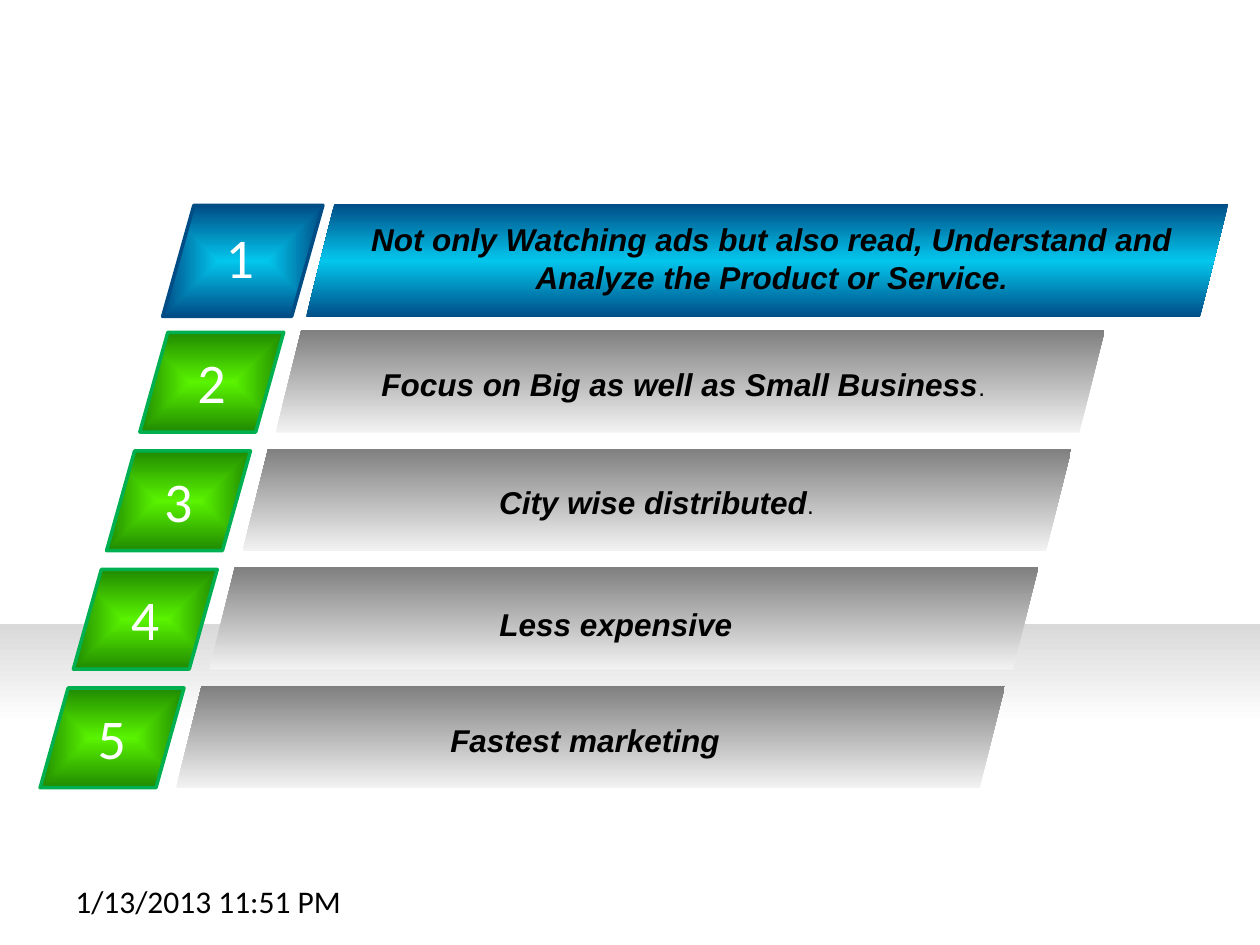
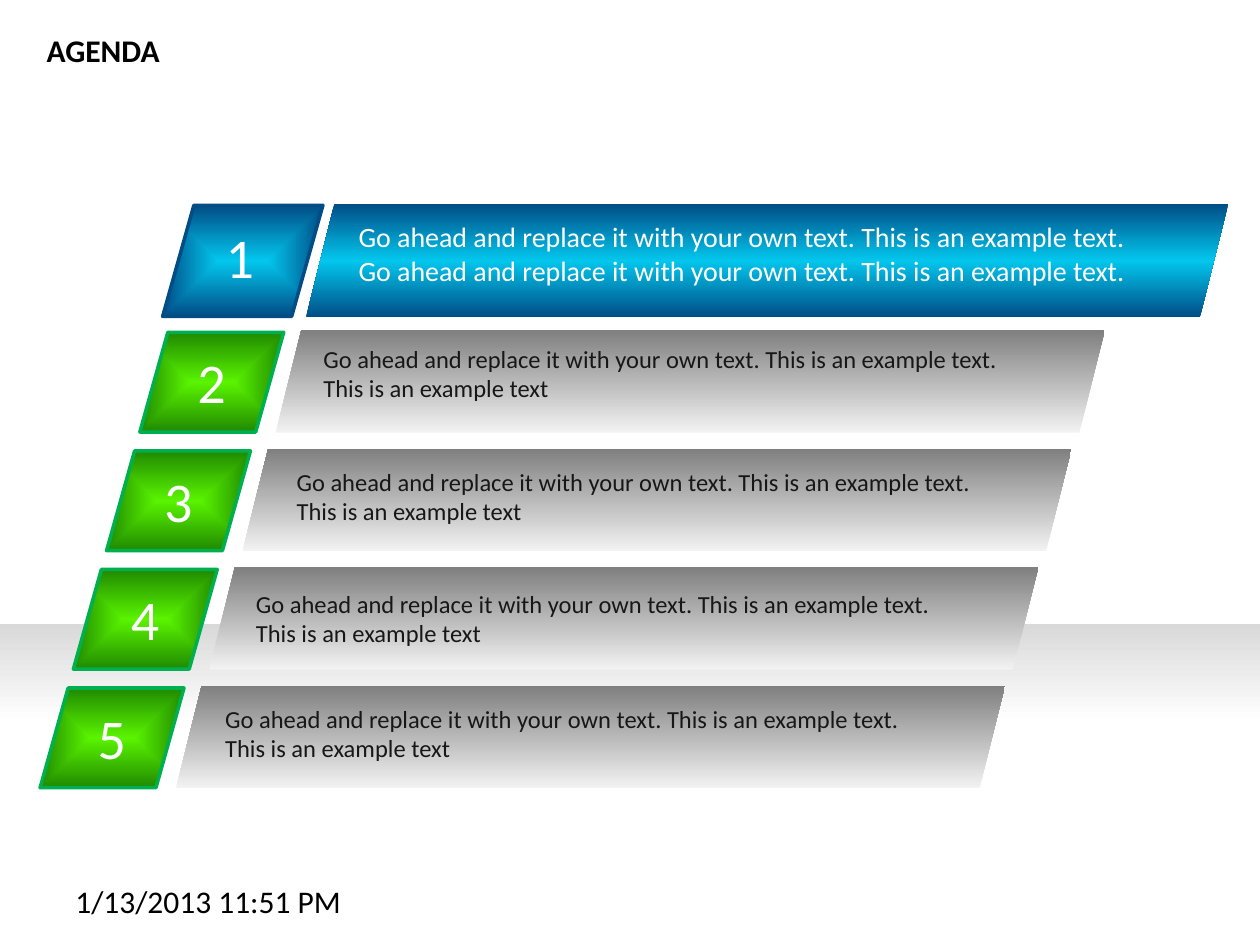
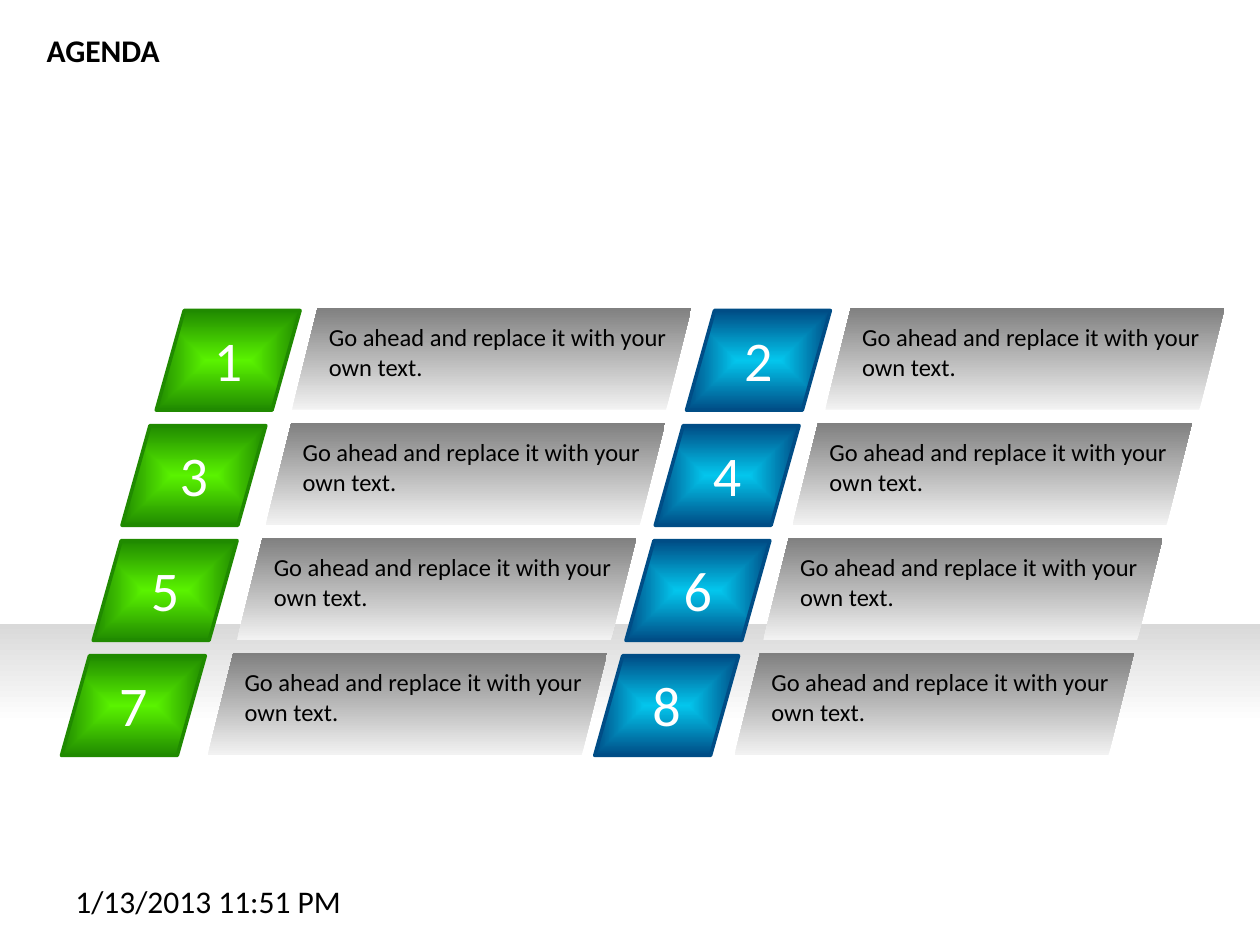
"""Builds three slides of numbered slanted bars with a shared floor band and date."""
import lxml.etree
import pptx
import pptx.dml.color
import pptx.enum.shapes
import pptx.enum.text
import pptx.oxml.ns
import pptx.util

Cm = pptx.util.Cm
qn = pptx.oxml.ns.qn
SHAPE = pptx.enum.shapes.MSO_SHAPE
ALIGN = pptx.enum.text.PP_ALIGN

COLORS = {
    "white": "FFFFFF", "black": "000000", "ink": "171717",
    "floor": "D9D9D9", "silver": "F2F2F2", "gray": "808080",
    "sky": "03C6ED", "navy": "004D86",
    "lime": "5AF300", "forest": "208A00", "emerald": "00B050",
}
FLOOR = [(0, "floor"), (39, "white"), (100, "white")]
GRAY = [(0, "silver"), (100, "gray")]
BLUE = [(0, "navy"), (50, "sky"), (100, "navy")]
BLUE_GLOW = [(0, "sky"), (100, "navy")]
GREEN_GLOW = [(0, "lime"), (100, "forest")]

ROW_WIDTH, ROW_HEIGHT = 16.71, 2.06
BADGE_WIDTH, BADGE_HEIGHT = 2.9, 2.01
SAMPLE = "Go ahead and replace it with your own text."
EXAMPLE = SAMPLE + " This is an example text."


def run(text, size=18, font="Calibri", color="black", bold=False, italic=False):
    """Describe one run of text."""
    return text, size, font, color, bold, italic


def strong(text, size=18):
    """Describe a run in the bold italic style of the benefits."""
    return run(text, size, "Arial", bold=True, italic=True)


def add_text(slide, box, paragraphs, align=ALIGN.LEFT):
    """Place paragraphs, each a list of runs, in a box given in centimetres."""
    frame = slide.shapes.add_textbox(*map(Cm, box)).text_frame
    frame.word_wrap = True
    for index, runs in enumerate(paragraphs):
        paragraph = frame.add_paragraph() if index else frame.paragraphs[0]
        paragraph.alignment = align
        for text, size, font, color, bold, italic in runs:
            piece = paragraph.add_run()
            piece.text = text
            piece.font.size = pptx.util.Pt(size)
            piece.font.name = font
            piece.font.bold = bold
            piece.font.italic = italic
            piece.font.color.rgb = pptx.dml.color.RGBColor.from_string(COLORS[color])


def fill_gradient(shape, stops, angle=None):
    """Fill with a linear gradient, or from the centre when no angle is given."""
    shape.fill.gradient()
    gradient = shape.element.spPr.find(qn("a:gradFill"))
    gradient.clear()
    gradient.set("rotWithShape", "1")
    stop_list = lxml.etree.SubElement(gradient, qn("a:gsLst"))
    for position, color in stops:
        stop = lxml.etree.SubElement(stop_list, qn("a:gs"), pos=str(position * 1000))
        lxml.etree.SubElement(stop, qn("a:srgbClr"), val=COLORS[color])
    if angle is None:
        glow = lxml.etree.SubElement(gradient, qn("a:path"), path="shape")
        sides = dict.fromkeys("ltrb", "50000")
        lxml.etree.SubElement(glow, qn("a:fillToRect"), **sides)
    else:
        lxml.etree.SubElement(gradient, qn("a:lin"), ang=str(angle * 60000), scaled="0")


def add_panel(slide, kind, box, stops, angle=None, edge=None):
    """Add a gradient shape, outlined only when an edge colour is given."""
    panel = slide.shapes.add_shape(kind, *map(Cm, box))
    panel.shadow.inherit = False
    fill_gradient(panel, stops, angle)
    if edge:
        panel.line.color.rgb = pptx.dml.color.RGBColor.from_string(COLORS[edge])
        panel.line.width = pptx.util.Pt(2)
    else:
        panel.line.fill.background()
    return panel


def add_badge(slide, box, number, stops, edge, inset=(0.91, 0.18)):
    """Add a slanted badge with its number."""
    badge = add_panel(slide, SHAPE.PARALLELOGRAM, box, stops, edge=edge)
    badge.adjustments[0] = 0.281
    number_box = (box[0] + inset[0], box[1] + inset[1], 1.09, 1.63)
    add_text(slide, number_box, [[run(str(number), 32, color="white")]])


def add_bar(slide, box, stops, text_box, paragraphs, align=ALIGN.LEFT):
    """Add a slanted bar and its text, placed relative to the bar."""
    add_panel(slide, SHAPE.PARALLELOGRAM, box, stops, 270)
    left, top, width, height = text_box
    add_text(slide, (box[0] + left, box[1] + top, width, height), paragraphs, align)


def add_base(deck, title=None):
    """Add a slide with the floor band, the date and an optional title."""
    slide = deck.slides.add_slide(deck.slide_layouts[6])
    add_panel(slide, SHAPE.RECTANGLE, (0, 12.57, 25.4, 5.13), FLOOR, 90)
    if title:
        add_text(slide, (0.69, 0.51, 3.15, 1.02), [[run(title, bold=True)]])
    add_text(slide, (1.27, 17.65, 5.92, 1.02), [[run("1/13/2013 11:51 PM")]])
    return slide


def add_staircase(slide, lead, lead_box, rows, text_tops, text_height, align):
    """Add the blue lead row and the four gray rows stepping down to the left."""
    add_badge(slide, (3.28, 4.14, 3.23, 2.24), 1, BLUE_GLOW, "navy", (1.02, 0.23))
    add_bar(slide, (6.17, 4.11, 18.59, 2.29), BLUE, lead_box, lead, align)
    text_lefts = (0.71, 0.84, 0.69, 0.74)
    for step, (runs, text_left, text_top) in enumerate(zip(rows, text_lefts, text_tops)):
        left, top = 2.82 - 0.67 * step, 6.7 + 2.39 * step
        add_badge(slide, (left, top, BADGE_WIDTH, BADGE_HEIGHT), step + 2,
                  GREEN_GLOW, "emerald")
        add_bar(slide, (left + 2.74, top - 0.04, ROW_WIDTH, ROW_HEIGHT), GRAY,
                (text_left, text_top, 15.01, text_height), [runs], align)


def add_column(slide, first, badge_lefts, bar_lefts, stops, edge):
    """Add one column of four badges and short bars, numbered in twos."""
    for step, (badge_left, bar_left) in enumerate(zip(badge_lefts, bar_lefts)):
        top = 6.26 + 2.32 * step
        add_bar(slide, (bar_left, top - 0.06, 8.05, ROW_HEIGHT), GRAY,
                (0.49, 0.17, 7.32, 1.45), [[run(SAMPLE, 14)]])
        add_badge(slide, (badge_left, top, BADGE_WIDTH, BADGE_HEIGHT),
                  first + 2 * step, stops, edge)


def build_benefits(deck):
    """Build the slide of five benefits."""
    lead = [[strong("Not only Watching ads but also read, Understand and "
                    "Analyze the Product or Service"), strong(".", 16)]]
    stop = run(".", 14, "Arial")
    rows = [
        [strong("Focus on Big as well as Small Business"), stop],
        [strong("City wise distributed"), stop],
        [strong("Less expensive")],
        [strong("Fastest marketing")],
    ]
    add_staircase(add_base(deck), lead, (0.81, 0.2, 17.15, 2.49), rows,
                  (0.58, 0.56, 0.64, 0.58), 1.02, ALIGN.CENTER)


def build_agenda(deck):
    """Build the agenda slide of five rows."""
    lead = [[run(EXAMPLE, 16, color="white")]] * 2
    rows = [[run(EXAMPLE + " This is an example text", 14, color="ink")]] * 4
    add_staircase(add_base(deck, "AGENDA"), lead, (0.81, 0.2, 16.69, 2.31), rows,
                  (0.15, 0.23, 0.3, 0.23), 1.45, ALIGN.LEFT)


def build_double_agenda(deck):
    """Build the agenda slide of two columns."""
    slide = add_base(deck, "AGENDA")
    add_column(slide, 1, (3.15, 2.46, 1.88, 1.24), (5.89, 5.36, 4.78, 4.19),
               GREEN_GLOW, "forest")
    add_column(slide, 2, (13.84, 13.21, 12.62, 11.99), (16.64, 15.98, 15.39, 14.81),
               BLUE_GLOW, "navy")


def main():
    """Build and save the deck."""
    deck = pptx.Presentation()
    deck.slide_width, deck.slide_height = Cm(25.4), Cm(19.05)
    build_benefits(deck)
    build_agenda(deck)
    build_double_agenda(deck)
    deck.save("out.pptx")


if __name__ == "__main__":
    main()
